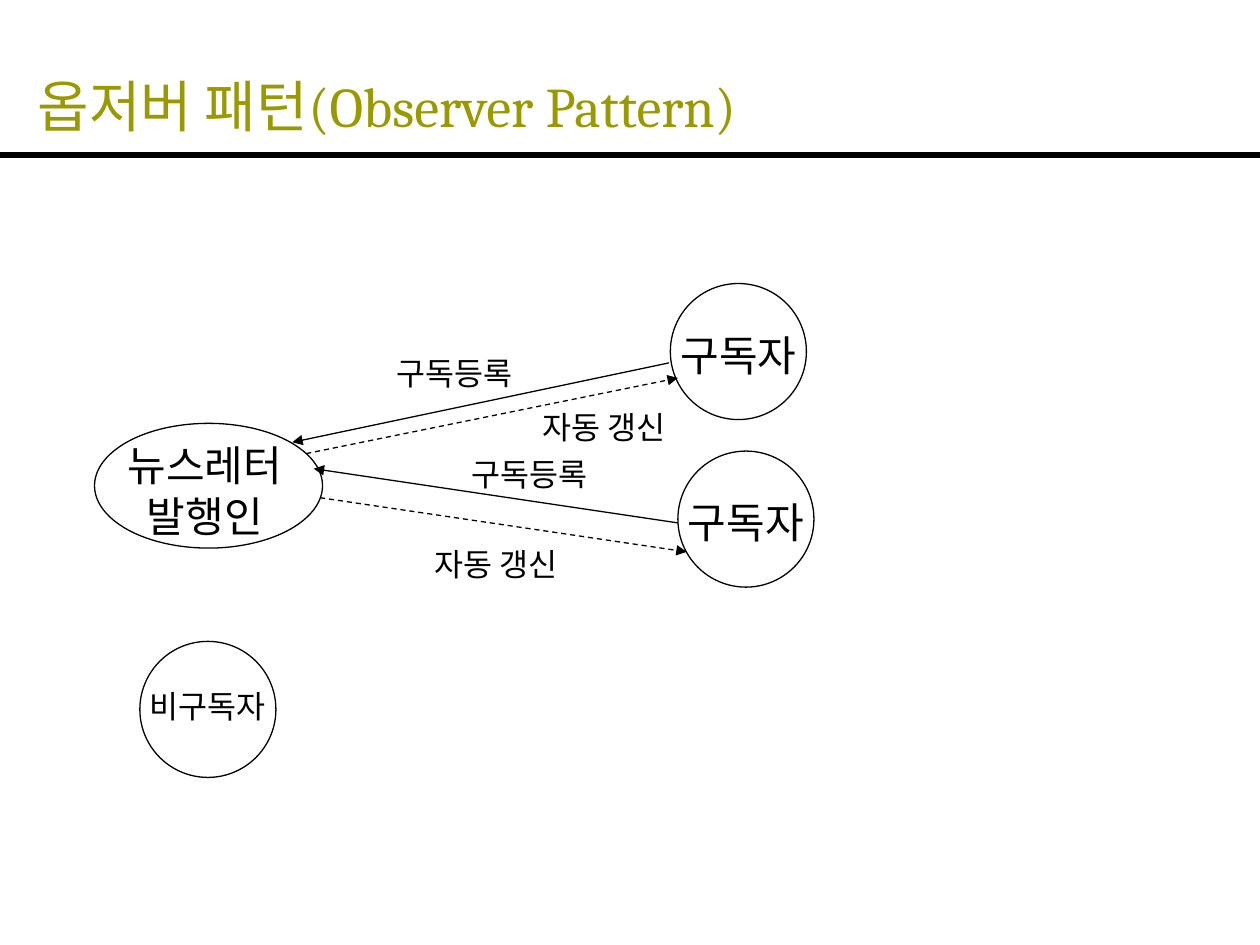
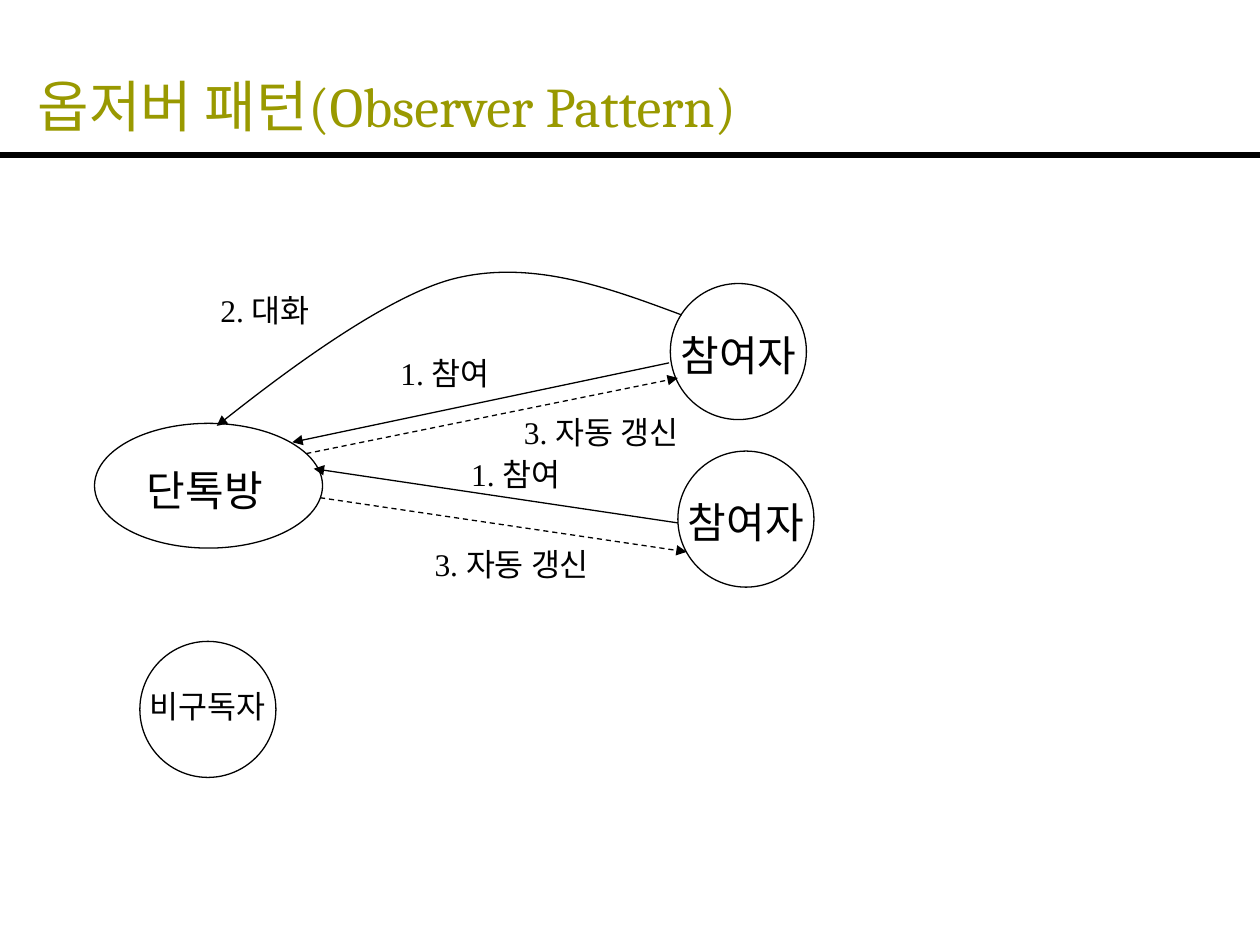
from lxml.etree import SubElement
from pptx import Presentation
from pptx.dml.color import RGBColor
from pptx.enum.dml import MSO_LINE
from pptx.enum.shapes import MSO_CONNECTOR, MSO_SHAPE
from pptx.enum.text import MSO_ANCHOR, MSO_AUTO_SIZE, PP_ALIGN
from pptx.oxml.ns import qn
from pptx.util import Inches, Pt

COLORS = {"ink": "000000", "title": "999900"}
KOREAN_FONT = "Noto Sans CJK KR"
BODY_FONT = "Times New Roman"

presentation = Presentation()
presentation.slide_width = Inches(10)
presentation.slide_height = Inches(7.5)
column = presentation.slide_width / 100
row = presentation.slide_height / 75
layout = presentation.slide_layouts[5]


def write_text(shape, box, text, size, font, color="ink", align=PP_ALIGN.LEFT):
    left, top, width, height = box
    shape.left, shape.width = round(left * column), round(width * column)
    shape.top, shape.height = round(top * row), round(height * row)
    frame = shape.text_frame
    frame.text = text
    frame.word_wrap = True
    for paragraph in frame.paragraphs:
        paragraph.alignment = align
        paragraph.font.size = Pt(size)
        paragraph.font.color.rgb = RGBColor.from_string(COLORS[color])
        paragraph.font.name = font
        properties = paragraph._p.pPr.find(qn("a:defRPr"))
        SubElement(properties, qn("a:ea"), typeface=KOREAN_FONT)
    return frame


def style_line(shape, width=0.75, dashed=False, arrow=True):
    shape.line.color.rgb = RGBColor.from_string(COLORS["ink"])
    shape.line.width = Pt(width)
    if dashed:
        shape.line.dash_style = MSO_LINE.DASH
    properties = shape.element.spPr
    if arrow:
        SubElement(properties.find(qn("a:ln")), qn("a:tailEnd"), type="triangle")
    SubElement(properties, qn("a:effectLst"))


publisher_oval = (7.5, 33.6, 18.1, 9.9)
circles = [(53.2, 22.5), (53.8, 35.8), (11.1, 50.9)]
circle_size = 10.8
arrows = [
    ((53.1, 28.8), (23.2, 35.1), False),
    ((53.8, 41.5), (24.9, 37.2), False),
    ((24.3, 36), (53.8, 30), True),
    ((25.4, 39.5), (54.5, 43.8), True),
]
talk_curve = [(54.1, 25), (48.2, 22.8), (42.2, 20.6), (36.1, 22.1),
              (30, 23.6), (17.2, 33.8), (17.2, 33.8)]

diagrams = [
    {
        "publisher": ("뉴스레터\n발행인", (8.5, 34.4, 15.5, 9.1)),
        "member": "구독자",
        "labels": [
            ("구독등록", 30.5, 27.6, 12.1),
            ("구독등록", 36.4, 35.6, 12.1),
            ("자동 갱신", 42.1, 31.9, 12.7),
            ("자동 갱신", 33.5, 42.8, 12.7),
        ],
        "curve": [],
    },
    {
        "publisher": ("단톡방", (10.2, 36.4, 12.1, 5)),
        "member": "참여자",
        "labels": [
            ("1. 참여", 30.8, 27.6, 12.1),
            ("1. 참여", 36.4, 35.6, 12.1),
            ("3. 자동 갱신", 40.6, 32.3, 15.9),
            ("3. 자동 갱신", 33.5, 42.8, 15.9),
            ("2. 대화", 16.5, 22.6, 12.1),
        ],
        "curve": talk_curve,
    },
]

for index, diagram in enumerate(diagrams):
    slide = presentation.slides.add_slide(layout)
    if index == 0:
        rule_top = round(12.3 * row)
        title_rule = slide.shapes.add_connector(
            MSO_CONNECTOR.STRAIGHT, 0, rule_top, presentation.slide_width, rule_top)
        style_line(title_rule, width=3, arrow=False)
        layout.shapes.element.append(title_rule.element)

    title_frame = write_text(slide.shapes.title, (2, 3, 96.1, 8.5),
                             "옵저버 패턴(Observer Pattern)", 32, "Cambria", "title")
    title_frame.vertical_anchor = MSO_ANCHOR.BOTTOM
    title_frame.auto_size = MSO_AUTO_SIZE.NONE

    publisher_name, publisher_box = diagram["publisher"]
    nodes = [(publisher_oval, publisher_name, publisher_box, 24, KOREAN_FONT)]
    member_styles = [(diagram["member"], 24, 5), (diagram["member"], 24, 5), ("비구독자", 18, 4)]
    for (left, top), (name, size, height) in zip(circles, member_styles):
        nodes.append(((left, top, circle_size, circle_size), name,
                      (left - 0.65, top + 3.15, 12.1, height), size, BODY_FONT))

    for (left, top, width, height), name, box, size, font in nodes:
        group = slide.shapes.add_group_shape()
        frame = write_text(group.shapes.add_textbox(0, 0, 0, 0), box, name, size, font,
                           align=PP_ALIGN.CENTER)
        frame.auto_size = MSO_AUTO_SIZE.SHAPE_TO_FIT_TEXT
        oval = group.shapes.add_shape(
            MSO_SHAPE.OVAL, round(left * column), round(top * row),
            round(width * column), round(height * row))
        oval.fill.background()
        style_line(oval, arrow=False)

    for (start_x, start_y), (end_x, end_y), dashed in arrows:
        connector = slide.shapes.add_connector(
            MSO_CONNECTOR.STRAIGHT, round(start_x * column), round(start_y * row),
            round(end_x * column), round(end_y * row))
        style_line(connector, dashed=dashed)

    for text, left, top, width in diagram["labels"]:
        frame = write_text(slide.shapes.add_textbox(0, 0, 0, 0),
                           (left, top, width, 4), text, 18, BODY_FONT)
        frame.auto_size = MSO_AUTO_SIZE.SHAPE_TO_FIT_TEXT

    if diagram["curve"]:
        points = [(round(x * column), round(y * row)) for x, y in diagram["curve"]]
        builder = slide.shapes.build_freeform(*points[0])
        builder.add_line_segments(points[1:], close=False)
        curve = builder.convert_to_shape()
        curve.fill.background()
        style_line(curve)
        outline = curve.element.find(".//" + qn("a:path"))
        segments = outline.findall(qn("a:lnTo"))
        for first in range(0, len(segments), 3):
            bezier = SubElement(outline, qn("a:cubicBezTo"))
            for segment in segments[first:first + 3]:
                bezier.append(segment[0])
                outline.remove(segment)

presentation.save("out.pptx")
